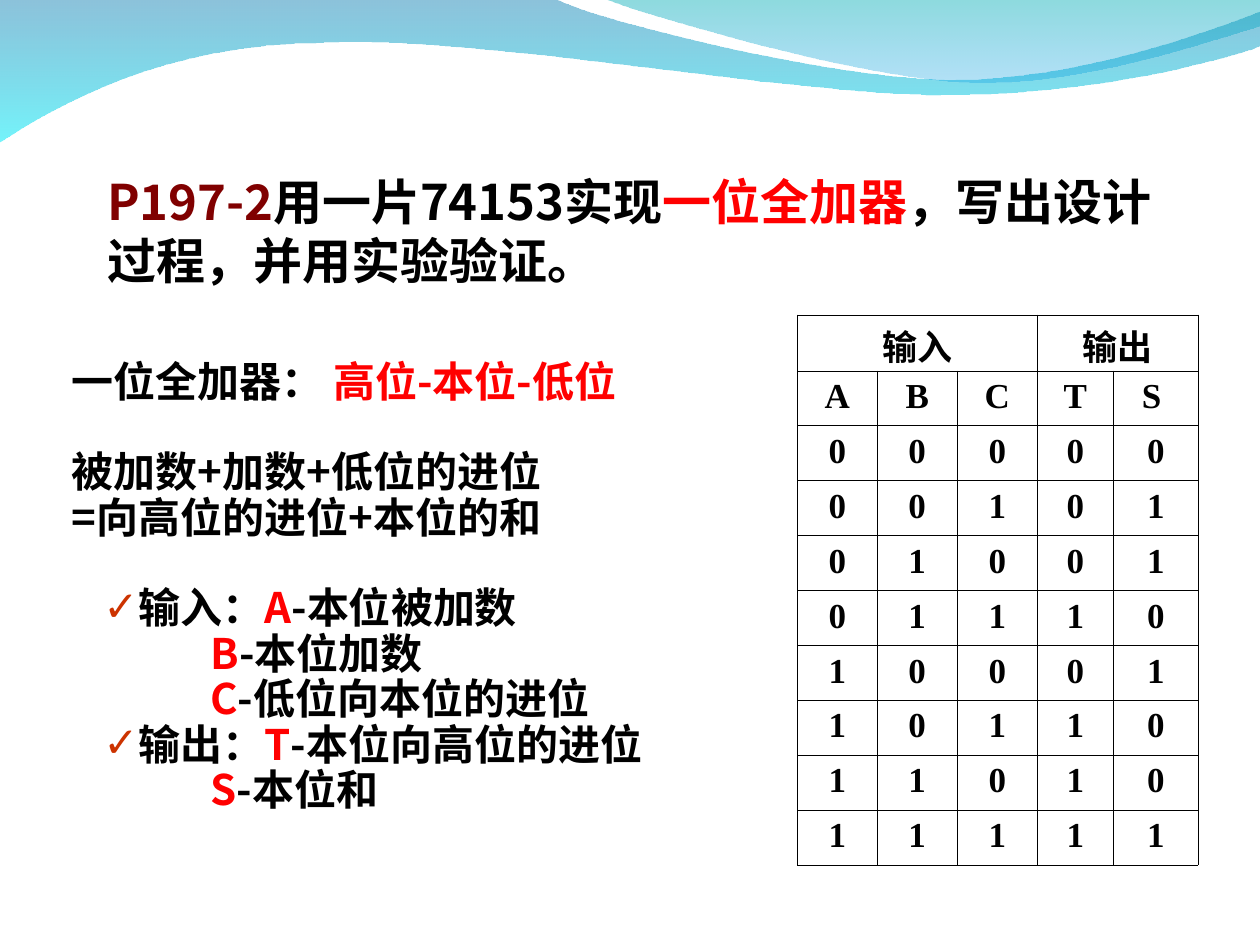
from pptx import Presentation
from pptx.dml.color import RGBColor
from pptx.enum.text import MSO_ANCHOR, MSO_AUTO_SIZE, PP_ALIGN
from pptx.oxml.ns import qn
from pptx.util import Inches, Pt
from lxml.etree import SubElement

BLACK = RGBColor(0, 0, 0)
RED = RGBColor(255, 0, 0)
MAROON = RGBColor(128, 0, 0)
BULLET_COLOR = RGBColor(0xCC, 0x33, 0x00)
DEEP_BLUE = RGBColor(0x00, 0x79, 0xAF)
CYAN = RGBColor(0x00, 0xEB, 0xF8)
TEAL = RGBColor(0x00, 0xAD, 0xB6)
SKY_BLUE = RGBColor(0x00, 0x9B, 0xE5)
SANS = "Noto Sans CJK SC"
SERIF = "Times New Roman"


def add_span(paragraph, text, color, size, face):
    span = paragraph.add_run()
    span.text = text
    for name, value in {"name": face, "size": Pt(size), "bold": True}.items():
        setattr(span.font, name, value)
    span.font.color.rgb = color
    SubElement(span.font._element, qn("a:ea"), typeface=SANS)


deck = Presentation()
deck.slide_width, deck.slide_height = Inches(10), Inches(7.5)
page = deck.slides.add_slide(deck.slide_layouts[1])

waves = [
    ([[(0, -0.01)], [(4.4, -0.01)],
      [(4.76, 0.17), (6.64, 0.63), (7.58, 0.63)],
      [(8.53, 0.63), (9.58, 0.26), (10, 0.09)],
      [(10.01, 0.36)],
      [(9.83, 0.44), (8.7, 0.76), (7.46, 0.75)],
      [(6.22, 0.75), (3.82, 0.28), (2.57, 0.34)],
      [(1.29, 0.35), (0.46, 0.83), (-0.01, 1.13)]],
     [(DEEP_BLUE, 45), (CYAN, 55)]),
    ([[(4.79, -0.01)],
      [(5.09, 0.11), (6.82, 0.62), (7.69, 0.65)],
      [(8.56, 0.69), (9.61, 0.32), (10, 0.21)],
      [(10, 0)]],
     [(TEAL, 45), (SKY_BLUE, 30)]),
]
for pieces, colors in waves:
    points = [(Inches(x), Inches(y)) for piece in pieces for x, y in piece]
    builder = page.shapes.build_freeform(*points[0])
    builder.add_line_segments(points[1:], close=True)
    wave = builder.convert_to_shape()
    segments = iter(list(wave._element.iter(qn("a:lnTo"))))
    for piece in pieces[1:]:
        corners = [next(segments) for point in piece]
        if len(corners) == 3:
            curve = SubElement(corners[0].getparent(), qn("a:cubicBezTo"))
            corners[0].addprevious(curve)
            for corner in corners:
                curve.append(corner[0])
                corner.getparent().remove(corner)
    wave.shadow.inherit = False
    wave.line.fill.background()
    wave.fill.gradient()
    wave.fill.gradient_angle = 270
    for stop, position, (color, opacity) in zip(wave.fill.gradient_stops, (0, 1), colors):
        stop.position = position
        stop.color.rgb = color
        tint = stop._element.find(qn("a:srgbClr"))
        SubElement(tint, qn("a:alpha"), val=str(opacity * 1000))

title, body = page.shapes.title, page.placeholders[1]
for box, bounds in ((title, (0.75, 1.31, 8.66, 1.04)), (body, (0.47, 2.81, 5.43, 3.7))):
    box.left, box.top, box.width, box.height = map(Inches, bounds)
    frame_format = {"word_wrap": True, "auto_size": MSO_AUTO_SIZE.NONE,
                    "vertical_anchor": MSO_ANCHOR.TOP}
    for name, value in frame_format.items():
        setattr(box.text_frame, name, value)

heading = title.text_frame.paragraphs[0]
heading.alignment = PP_ALIGN.LEFT
heading.line_spacing = Pt(33.6)
for text, color in (("P197-2", MAROON), ("用一片74153实现", BLACK), ("一位全加器", RED),
                    ("，写出设计过程，并用实验验证。", BLACK)):
    add_span(heading, text, color, 28, SANS)

plain, checked, continued = (0, 0), (0.5, -0.25), (1.1, 0)
lines = [
    (plain, 0, [("一位全加器： ", BLACK), ("高位-本位-低位", RED)]),
    (plain, 25.9, [("被加数+加数+低位的进位", BLACK)]),
    (plain, 0, [("=向高位的进位+本位的和", BLACK)]),
    (checked, 25.9, [("输入：", BLACK), ("A", RED), ("-本位被加数", BLACK)]),
    (continued, 0, [("B", RED), ("-本位加数", BLACK)]),
    (continued, 0, [("C", RED), ("-低位向本位的进位", BLACK)]),
    (checked, 0, [("输出：", BLACK), ("T", RED), ("-本位向高位的进位", BLACK)]),
    (continued, 0, [("S", RED), ("-本位和", BLACK)]),
]
frame = body.text_frame
for index, (indents, gap, spans) in enumerate(lines):
    para = frame.add_paragraph() if index else frame.paragraphs[0]
    properties = para._p.get_or_add_pPr()
    for name, length in zip(("marL", "indent"), indents):
        properties.set(name, str(Inches(length)))
    if indents == checked:
        bullet_color = SubElement(properties, qn("a:buClr"))
        SubElement(bullet_color, qn("a:srgbClr"), val=str(BULLET_COLOR))
        SubElement(properties, qn("a:buChar"), char="✓")
    else:
        SubElement(properties, qn("a:buNone"))
    para_format = {"alignment": PP_ALIGN.JUSTIFY, "line_spacing": Pt(25.9),
                   "space_before": Pt(gap)}
    for name, value in para_format.items():
        setattr(para, name, value)
    for text, color in spans:
        add_span(para, text, color, 24, SANS)

truth_rows = [["输入", "", "", "输出", ""], ["A", "B", "C", "T", "S "]]
for number in range(8):
    bits = [number >> 2 & 1, number >> 1 & 1, number & 1]
    truth_rows.append([str(bit) for bit in (*bits, sum(bits) // 2, sum(bits) % 2)])

table_height = Inches(4.36)
table = page.shapes.add_table(10, 5, Inches(6.33), Inches(2.5), Inches(3.18), table_height).table
table.first_row = table.horz_banding = False
for column, width in zip(table.columns, (0.63, 0.64, 0.63, 0.61, 0.67)):
    column.width = Inches(width)
for row in table.rows:
    row.height = table_height // 10
table.cell(0, 0).merge(table.cell(0, 2))
table.cell(0, 3).merge(table.cell(0, 4))
for row_index, values in enumerate(truth_rows):
    for column_index, value in enumerate(values):
        cell = table.cell(row_index, column_index)
        cell_properties = cell._tc.get_or_add_tcPr()
        for side in ("lnL", "lnR", "lnT", "lnB"):
            border = SubElement(cell_properties, qn(f"a:{side}"), w=str(Pt(0.45)))
            fill = SubElement(border, qn("a:solidFill"))
            SubElement(fill, qn("a:srgbClr"), val=str(BLACK))
        cell.fill.background()
        para = cell.text_frame.paragraphs[0]
        para.alignment = PP_ALIGN.CENTER
        if row_index == 0:
            cell.margin_top, cell.margin_bottom = Inches(0.11), 0
            para.line_spacing = Pt(24)
        if value:
            add_span(para, value, BLACK, 20, SERIF)

deck.save("out.pptx")
